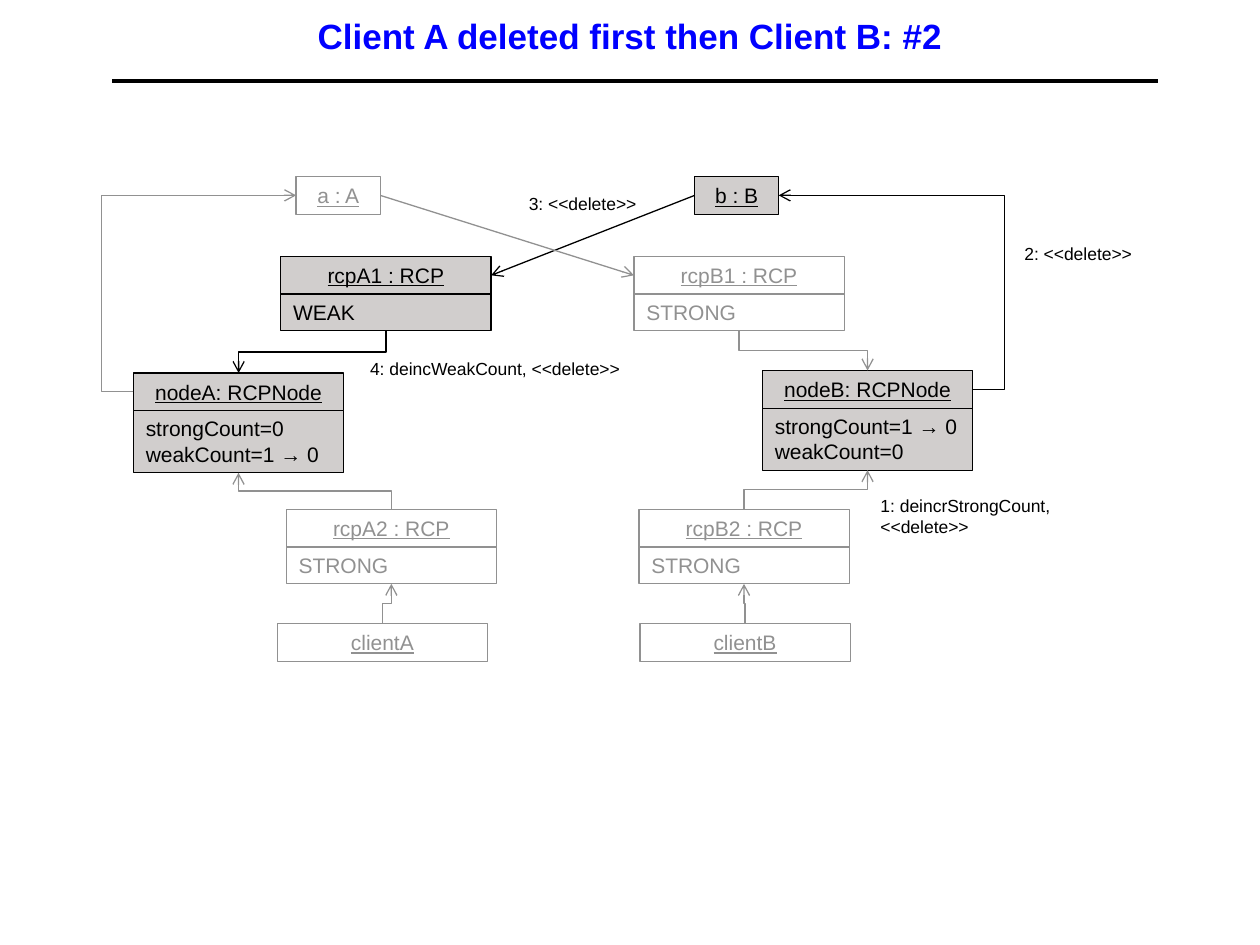
from lxml.etree import SubElement as Sub
from pptx import Presentation
from pptx.dml.color import RGBColor
from pptx.enum.shapes import MSO_CONNECTOR as Link, MSO_SHAPE as Form
from pptx.enum.text import MSO_ANCHOR as Anchor, MSO_AUTO_SIZE as Fit, PP_ALIGN as Align
from pptx.oxml.ns import qn
from pptx.util import Cm, Pt

hue = RGBColor.from_string
BLACK, GREY, WHITE, FILL = "000000", "919191", "FFFFFF", "D1CECD"


def write(frame, lines, ink, align, **form):
    frame.text = "\n".join(lines)
    for para in frame.paragraphs:
        para.alignment = align
        for key, val in {"name": "Arial", **form}.items():
            setattr(para.font, key, val)
        para.font.color.rgb = hue(ink)


def wire(kind, ends, ink, width=0.75, arrow=True):
    line = slide.shapes.add_connector(kind, *[int(end) for end in ends])
    line.line.color.rgb = hue(ink)
    line.line.width = Pt(width)
    if arrow:
        Sub(line.line._get_or_add_ln(), qn("a:tailEnd"), type="arrow")
    Sub(line._element.spPr, qn("a:effectLst"))
    return line


deck = Presentation()
deck.slide_width, deck.slide_height = Cm(25.4), Cm(19.05)
slide = deck.slides.add_slide(deck.slide_layouts[5])

title = slide.shapes.title
place = {"left": Cm(1.9), "top": Cm(0), "width": Cm(21.6), "height": Cm(1.42)}
for key, val in place.items():
    setattr(title, key, val)
title.text_frame.auto_size = Fit.NONE
title.text_frame.vertical_anchor = Anchor.MIDDLE
write(title.text_frame, ["Client A deleted first then Client B: #2"], "0000FF",
      Align.CENTER, size=Pt(20), bold=True)
wire(Link.STRAIGHT, [Cm(2.26), Cm(1.63), Cm(23.34), Cm(1.63)], BLACK, 2, False)

nodes = [
    ("a", 5.97, 3.56, 1.7, GREY, "a : A", []),
    ("b", 14, 3.56, 1.7, BLACK, "b : B", []),
    ("A1", 5.66, 5.17, 4.24, BLACK, "rcpA1 : RCP", ["WEAK"]),
    ("B1", 12.78, 5.17, 4.24, GREY, "rcpB1 : RCP", ["STRONG"]),
    ("nodeA", 2.69, 7.52, 4.24, BLACK, "nodeA: RCPNode", ["strongCount=0", "weakCount=1 → 0"]),
    ("nodeB", 15.37, 7.47, 4.24, BLACK, "nodeB: RCPNode", ["strongCount=1 → 0", "weakCount=0"]),
    ("A2", 5.77, 10.27, 4.24, GREY, "rcpA2 : RCP", ["STRONG"]),
    ("B2", 12.88, 10.27, 4.24, GREY, "rcpB2 : RCP", ["STRONG"]),
    ("clientA", 5.59, 12.57, 4.24, GREY, "clientA", []),
    ("clientB", 12.9, 12.57, 4.24, GREY, "clientB", []),
]
heads, feet = {}, {}
for name, left, top, wide, ink, head, body in nodes:
    parts = [(heads, top, 0.76, [head], Align.CENTER, True)]
    if body:
        tall = 0.25 + 0.51 * len(body)
        parts.insert(0, (feet, top + 0.74, tall, body, Align.LEFT, False))
    for group, y, tall, lines, align, under in parts:
        box = slide.shapes.add_shape(Form.RECTANGLE, Cm(left), Cm(y), Cm(wide), Cm(tall))
        box.shadow.inherit = False
        box.fill.solid()
        box.fill.fore_color.rgb = hue(FILL if ink == BLACK else WHITE)
        box.line.color.rgb = hue(ink)
        box.line.width = Pt(0.75)
        box.text_frame.word_wrap = True
        write(box.text_frame, lines, ink, align, size=Pt(12), underline=under)
        group[name] = box

for start, side, end, goal, ink in [("b", 1, "A1", 3, BLACK), ("a", 3, "B1", 1, GREY)]:
    line = wire(Link.STRAIGHT, [0, 0, 0, 0], ink)
    line.begin_connect(heads[start], side)
    line.end_connect(heads[end], goal)

for start, end, ink, right in [("nodeA", "a", GREY, 0), ("nodeB", "b", BLACK, 1)]:
    ends = []
    for box in (heads[start], heads[end]):
        ends += [box.left + box.width * right, box.top + box.height / 2]
    line = wire(Link.ELBOW, ends, ink)
    bend = -Cm(0.64) / abs(ends[2] - ends[0])
    guides = line._element.spPr.find(qn("a:prstGeom")).get_or_add_avLst()
    Sub(guides, qn("a:gd"), name="adj1", fmla=f"val {round(bend * 100000)}")

steps = [("A1", "nodeA", BLACK), ("B1", "nodeB", GREY), ("A2", "nodeA", GREY),
         ("B2", "nodeB", GREY), ("clientA", "A2", GREY), ("clientB", "B2", GREY)]
for start, end, ink in steps:
    down = heads[start].top < heads[end].top
    src, dst = (feet[start], heads[end]) if down else (heads[start], feet[end])
    x1, x2 = src.left + src.width / 2, dst.left + dst.width / 2
    y1, y2 = src.top + src.height * down, dst.top + dst.height * (not down)
    midx, midy, dx, dy = (x1 + x2) / 2, (y1 + y2) / 2, (x2 - x1) / 2, (y2 - y1) / 2
    line = wire(Link.ELBOW, [midx - dy, midy + dx, midx + dy, midy - dx], ink)
    line._element.spPr.find(qn("a:xfrm")).set("rot", "5400000")

labels = [
    (17.5, 9.86, 5.79, "1: deincrStrongCount, <<delete>>"),
    (20.4, 4.78, 2.67, "2: <<delete>>"),
    (10.41, 3.76, 2.67, "3: <<delete>>"),
    (7.21, 7.09, 5.54, "4: deincWeakCount, <<delete>>"),
]
for left, top, wide, text in labels:
    note = slide.shapes.add_textbox(Cm(left), Cm(top), Cm(wide), Cm(0.69))
    note.text_frame.word_wrap = False
    write(note.text_frame, [text], BLACK, Align.LEFT, size=Pt(10))

deck.save("out.pptx")
